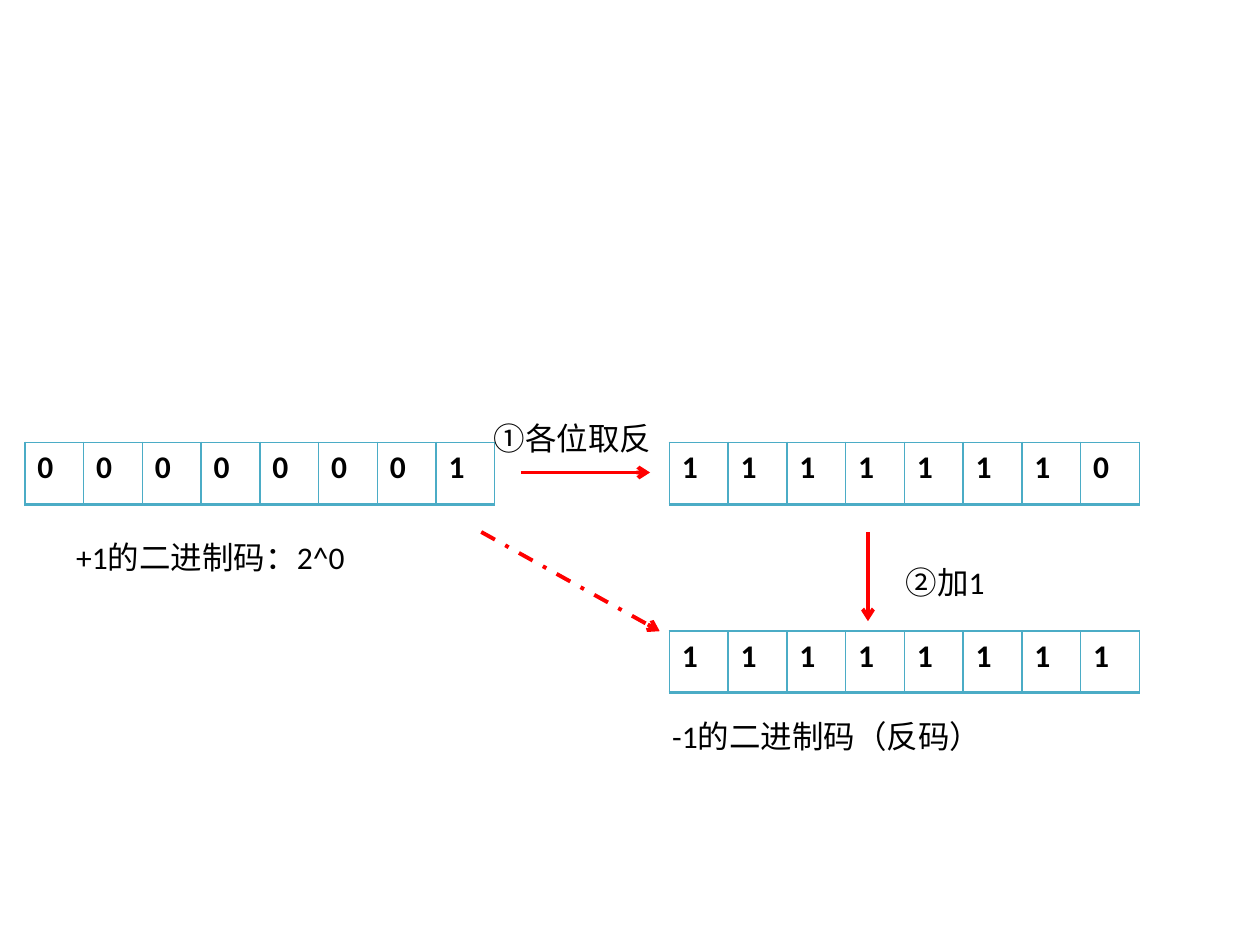
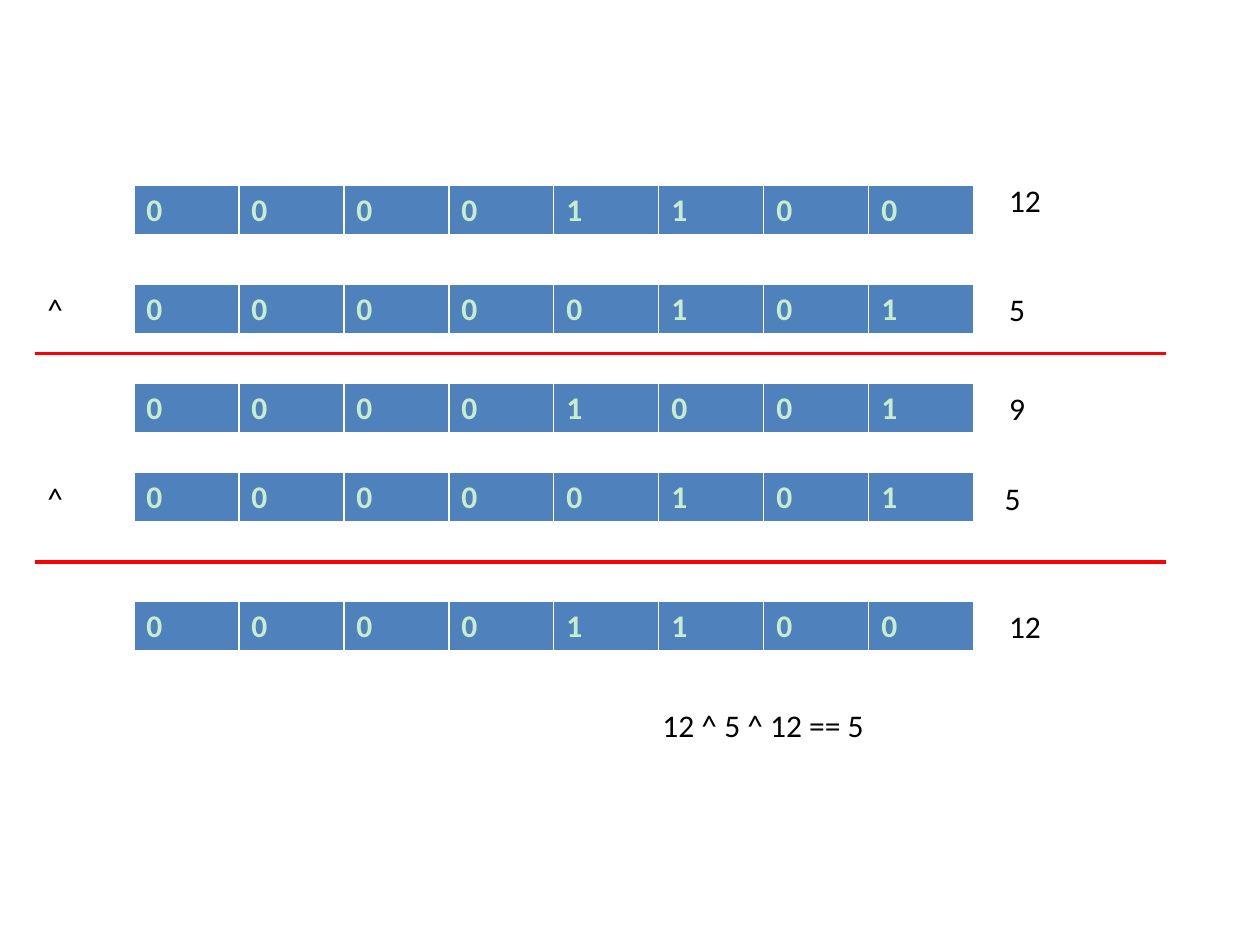
from dataclasses import dataclass

from lxml.etree import SubElement
from pptx import Presentation
from pptx.dml.color import RGBColor as RGB
from pptx.enum.dml import MSO_LINE as Dash
from pptx.enum.shapes import MSO_CONNECTOR as Connector
from pptx.enum.text import MSO_AUTO_SIZE as AutoSize
from pptx.oxml.ns import qn
from pptx.util import Pt


@dataclass(frozen=True)
class Theme:
    font: str = "Calibri"
    size: float = 18
    line_width: float = 2.25
    ink: RGB = RGB(0x00, 0x00, 0x00)
    paper: RGB = RGB(0xFF, 0xFF, 0xFF)
    accent: RGB = RGB(0xFF, 0x00, 0x00)
    grid: RGB = RGB(0x4B, 0xAC, 0xC6)
    cell: RGB = RGB(0x4F, 0x81, 0xBD)
    cell_ink: RGB = RGB(0xC7, 0xED, 0xCC)


@dataclass(frozen=True)
class ByteStyle:
    column: float
    height: float
    ink: RGB
    border: RGB
    bottom: float
    fill: RGB = None


THEME = Theme()
OUTLINED = ByteStyle(33.57, 35.4, THEME.ink, THEME.grid, 2)
FILLED = ByteStyle(60, 29.2, THEME.cell_ink, THEME.paper, 3, THEME.cell)
LABEL_HEIGHT = 29


def new_slide(deck):
    slide = deck.slides.add_slide(deck.slide_layouts[6])
    slide.background.fill.solid()
    slide.background.fill.fore_color.rgb = THEME.paper
    return slide


def add_run(paragraph, text, colour, bold=False):
    run = paragraph.add_run()
    run.text = text
    run.font.name = THEME.font
    run.font.size = Pt(THEME.size)
    run.font.bold = bold
    run.font.color.rgb = colour


def add_label(slide, text, left, top, width):
    label = slide.shapes.add_textbox(Pt(left), Pt(top), Pt(width), Pt(LABEL_HEIGHT))
    label.text_frame.word_wrap = True
    label.text_frame.auto_size = AutoSize.SHAPE_TO_FIT_TEXT
    add_run(label.text_frame.paragraphs[0], text, THEME.ink)


def set_borders(cell, style):
    properties = cell._tc.get_or_add_tcPr()
    for side, width in (("L", 1), ("R", 1), ("T", 1), ("B", style.bottom)):
        border = SubElement(properties, qn(f"a:ln{side}"), w=str(Pt(width)))
        SubElement(SubElement(border, qn("a:solidFill")), qn("a:srgbClr"), val=str(style.border))


def add_byte(slide, number, left, top, style):
    bits = format(number & 0xFF, "08b")
    table = slide.shapes.add_table(
        1, len(bits), Pt(left), Pt(top), Pt(style.column * len(bits)), Pt(style.height)
    ).table
    table.first_row = table.horz_banding = False
    for column, cell, bit in zip(table.columns, table.rows[0].cells, bits):
        column.width = Pt(style.column)
        set_borders(cell, style)
        if style.fill is None:
            cell.fill.background()
        else:
            cell.fill.solid()
            cell.fill.fore_color.rgb = style.fill
        add_run(cell.text_frame.paragraphs[0], bit, style.ink, bold=True)


def add_line(slide, start, end, arrow=False, dash=None):
    line = slide.shapes.add_connector(Connector.STRAIGHT, *map(Pt, (*start, *end)))
    line.line.color.rgb = THEME.accent
    line.line.width = Pt(THEME.line_width)
    if dash is not None:
        line.line.dash_style = dash
    if arrow:
        SubElement(line.line._get_or_add_ln(), qn("a:tailEnd"), type="arrow")
    SubElement(line._element.spPr, qn("a:effectLst"))


def build_negation(deck):
    slide = new_slide(deck)
    positive_left, negative_left = 14.2, 382.5
    upper, lower = 252.75, 360.5
    add_byte(slide, 1, positive_left, upper, OUTLINED)
    add_byte(slide, ~1, negative_left, upper, OUTLINED)
    add_line(slide, (297.6, 270), (371.5, 270), arrow=True)
    add_label(slide, "①各位取反", 275, 236, 113)
    add_label(slide, "+1的二进制码：2^0", 36.5, 304, 221)
    add_byte(slide, -1, negative_left, lower, OUTLINED)
    add_line(slide, (275, 304), (377, 360.7), arrow=True, dash=Dash.DASH_DOT)
    add_label(slide, "-1的二进制码（反码）", 377, 406, 266)
    add_line(slide, (496, 304), (496, 355), arrow=True)
    add_label(slide, "②加1", 510.5, 318, 88)


def build_xor(deck):
    slide = new_slide(deck)
    edge, byte_left, value_left = 20, 76.5, 569.5
    first, key = 12, 5
    mixed = first ^ key
    steps = (
        (first, 106, 100, value_left, False),
        (key, 162.3, 162.3, value_left, True),
        (mixed, 219, 219, value_left, False),
        (key, 270, 270, 567, True),
        (mixed ^ key, 343.5, 343.5, value_left, False),
    )
    for number, top, value_top, value_x, is_operand in steps:
        add_byte(slide, number, byte_left, top, FILLED)
        add_label(slide, str(number), value_x, value_top, 57)
        if is_operand:
            add_label(slide, "^", edge, top, 51)
    for rule_top in (202, 321):
        add_line(slide, (edge, rule_top), (666, rule_top))
    add_label(slide, "12 ^ 5 ^ 12 == 5", 371.5, 400, 244)


def main():
    deck = Presentation()
    deck.slide_width, deck.slide_height = Pt(720), Pt(540)
    build_negation(deck)
    build_xor(deck)
    deck.save("out.pptx")


if __name__ == "__main__":
    main()
